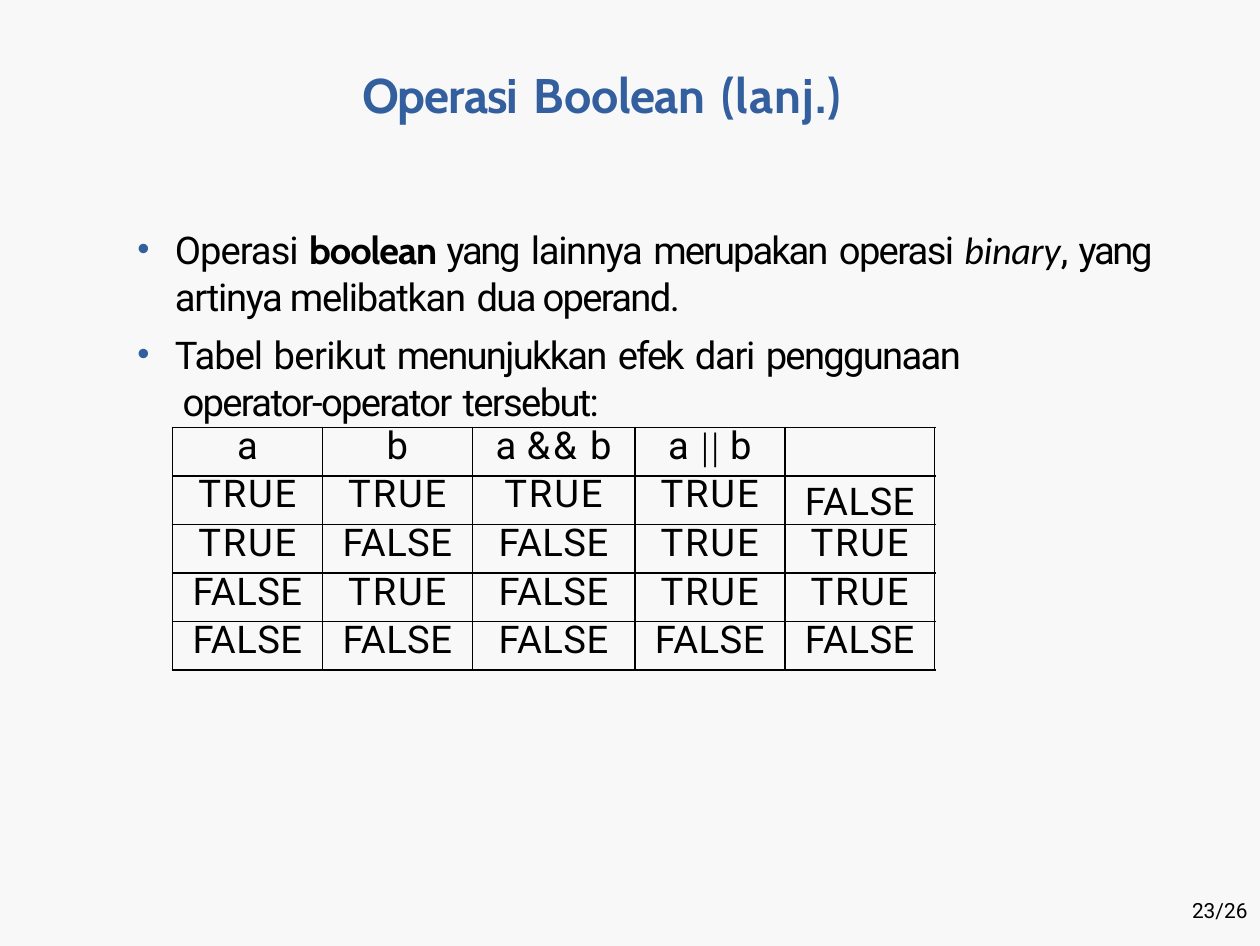
from lxml.etree import SubElement
from pptx import Presentation
from pptx.dml.color import RGBColor
from pptx.enum.text import MSO_ANCHOR, MSO_AUTO_SIZE, PP_ALIGN
from pptx.oxml.ns import qn
from pptx.util import Inches, Pt

COLORS = {"background": "F8F8F8", "accent": "335F9E", "text": "000000"}

TITLE = [("Operasi ", -0.3), ("Boolean ", -0.1), ("(lanj.)", 0.3)]

BULLETS = [
    [
        ("Operasi ", -0.3),
        ("boolean ", -0.3, {"font": "Cabin", "bold": True}),
        ("yang ", -0.7),
        ("lainnya ", -0.4),
        ("merupakan ", -0.6),
        ("operasi ", -0.5),
        ("binary", -0.1, {"font": "Calibri", "italic": True}),
        (", ", -0.1),
        ("yang ", -0.7),
        ("artinya melibatkan ", -0.4),
        ("dua operand.", -0.5),
    ],
    [
        ("Tabel ", -0.3),
        ("berikut ", -0.2),
        ("menunjukkan ", -0.5),
        ("efek ", -0.6),
        ("dari ", -0.4),
        ("penggunaan\v operator-operator ", -0.5),
        ("tersebut:", -0.5),
    ],
]

T = [("TRUE", 0.5)]
F = [("FALSE", 0.1)]
TRUTH_TABLE = [
    [
        [("a", 0)],
        [("b", 0)],
        [("a ", -0.6), ("&& ", 0.8), ("b", -0.5)],
        [("a ", -0.6),
         ("|| ", -0.1, {"font": "Times New Roman", "italic": True}),
         ("b", -0.5)],
        [],
    ],
    [T, T, T, T, F],
    [T, F, F, T, T],
    [F, T, F, T, T],
    [F, F, F, F, F],
]
COLUMN_WIDTHS = [0.6, 0.6, 0.65, 0.6, 0.6]
LOWERED_CELL = (1, 4)


def color(name):
    return RGBColor.from_string(COLORS[name])


def add_text(paragraph, text, *, spacing=0, size=11, font="Roboto",
             fill="text", bold=False, italic=False):
    """Append text to a paragraph, with a line break at each vertical tab."""
    for index, line in enumerate(text.split("\v")):
        if index:
            paragraph.add_line_break()
        run = paragraph.add_run()
        run.text = line
        run.font.size = Pt(size)
        run.font.name = font
        run.font.bold = bold
        run.font.italic = italic
        run.font.color.rgb = color(fill)
        run._r.get_or_add_rPr().set("spc", str(round(spacing * 100)))


def add_pieces(paragraph, pieces, gap=0.2, **style):
    """Append (text, letter spacing, optional overrides) pieces.

    The space that ends a piece gets the letter spacing in gap.
    """
    for text, spacing, *overrides in pieces:
        merged = {**style, **(overrides[0] if overrides else {})}
        add_text(paragraph, text.rstrip(), spacing=spacing, **merged)
        if text.endswith(" "):
            add_text(paragraph, " ", spacing=gap, **merged)


def set_bullet(paragraph, left, hanging):
    properties = paragraph._p.get_or_add_pPr()
    properties.set("marL", str(Inches(left)))
    properties.set("indent", str(-Inches(hanging)))
    bullet_color = SubElement(properties, qn("a:buClr"))
    SubElement(bullet_color, qn("a:srgbClr"), val=COLORS["accent"])
    SubElement(properties, qn("a:buSzPct"), val="91000")
    SubElement(properties, qn("a:buFont"), typeface="Arial")
    SubElement(properties, qn("a:buChar"), char="•")


def set_borders(cell, width):
    properties = cell._tc.get_or_add_tcPr()
    for position, side in enumerate(("lnL", "lnR", "lnT", "lnB")):
        border = properties.makeelement(qn(f"a:{side}"), {"w": str(Pt(width))})
        fill = SubElement(border, qn("a:solidFill"))
        SubElement(fill, qn("a:srgbClr"), val=COLORS["text"])
        properties.insert(position, border)


class SlideBuilder:
    def __init__(self, width, height):
        self.presentation = Presentation()
        self.presentation.slide_width = width
        self.presentation.slide_height = height
        # The default template labels its size as a 10-inch screen format.
        self.presentation.element.find(qn("p:sldSz")).attrib.pop("type", None)
        title_only = self.presentation.slide_layouts[5]
        self.slide = self.presentation.slides.add_slide(title_only)
        background = self.slide.background.fill
        background.solid()
        background.fore_color.rgb = color("background")

    def prepare_frame(self, shape, top_inset=0):
        frame = shape.text_frame
        frame.word_wrap = True
        frame.auto_size = MSO_AUTO_SIZE.NONE
        frame.vertical_anchor = MSO_ANCHOR.TOP
        frame.margin_left = frame.margin_right = frame.margin_bottom = 0
        frame.margin_top = Inches(top_inset)
        return frame

    def title(self, pieces, left, top, width, height):
        heading = self.slide.shapes.title
        heading.left, heading.top = Inches(left), Inches(top)
        heading.width, heading.height = Inches(width), Inches(height)
        paragraph = self.prepare_frame(heading, 0.02).paragraphs[0]
        paragraph.alignment = PP_ALIGN.LEFT
        paragraph.space_before = Pt(1.4)
        paragraph._p.get_or_add_pPr().set("marL", str(Inches(0.01)))
        add_pieces(paragraph, pieces, gap=1.3, size=14, font="Cabin",
                   fill="accent", bold=True)

    def text_box(self, left, top, width, height, top_inset=0):
        box = self.slide.shapes.add_textbox(
            Inches(left), Inches(top), Inches(width), Inches(height))
        return self.prepare_frame(box, top_inset)

    def bullets(self, items, left, top, width, height):
        frame = self.text_box(left, top, width, height, top_inset=0.13)
        for index, pieces in enumerate(items):
            paragraph = frame.add_paragraph() if index else frame.paragraphs[0]
            paragraph.line_spacing = 1.03
            paragraph.space_before = Pt(3 if index else 0.6)
            set_bullet(paragraph, left=0.31, hanging=0.15)
            add_pieces(paragraph, pieces)

    def table(self, rows, widths, left, top, height):
        table = self.slide.shapes.add_table(
            len(rows), len(widths), Inches(left), Inches(top),
            Inches(sum(widths)), Inches(height)).table
        table.first_row = table.horz_banding = False
        for column, width in zip(table.columns, widths):
            column.width = Inches(width)
        for r, row in enumerate(rows):
            for c, pieces in enumerate(row):
                lowered = (r, c) == LOWERED_CELL
                self.fill_cell(table.cell(r, c), pieces,
                               0.03 if lowered else 0)

    def fill_cell(self, cell, pieces, top_inset):
        cell.margin_left = cell.margin_right = cell.margin_bottom = 0
        cell.margin_top = Inches(top_inset)
        cell.fill.solid()
        cell.fill.fore_color.rgb = color("background")
        set_borders(cell, 0.5)
        paragraph = cell.text_frame.paragraphs[0]
        paragraph.alignment = PP_ALIGN.CENTER
        paragraph.line_spacing = Pt(11.9)
        add_pieces(paragraph, pieces)
        if not pieces:
            SubElement(paragraph._p, qn("a:endParaRPr"), sz="1100")

    def page_number(self, text, left, top, width, height):
        paragraph = self.text_box(left, top, width, height).paragraphs[0]
        paragraph._p.get_or_add_pPr().set("marL", str(Inches(0.04)))
        add_text(paragraph, text, size=6)


def main():
    builder = SlideBuilder(Pt(363), Pt(272.5))
    builder.title(TITLE, 1.44, 0.24, 2.16, 0.27)
    builder.bullets(BULLETS, 0.39, 0.77, 4.28, 2.06)
    builder.table(TRUTH_TABLE, COLUMN_WIDTHS, 0.69, 1.71, 0.97)
    builder.page_number("23/26", 4.73, 3.59, 0.31, 0.12)
    builder.presentation.save("out.pptx")


if __name__ == "__main__":
    main()
